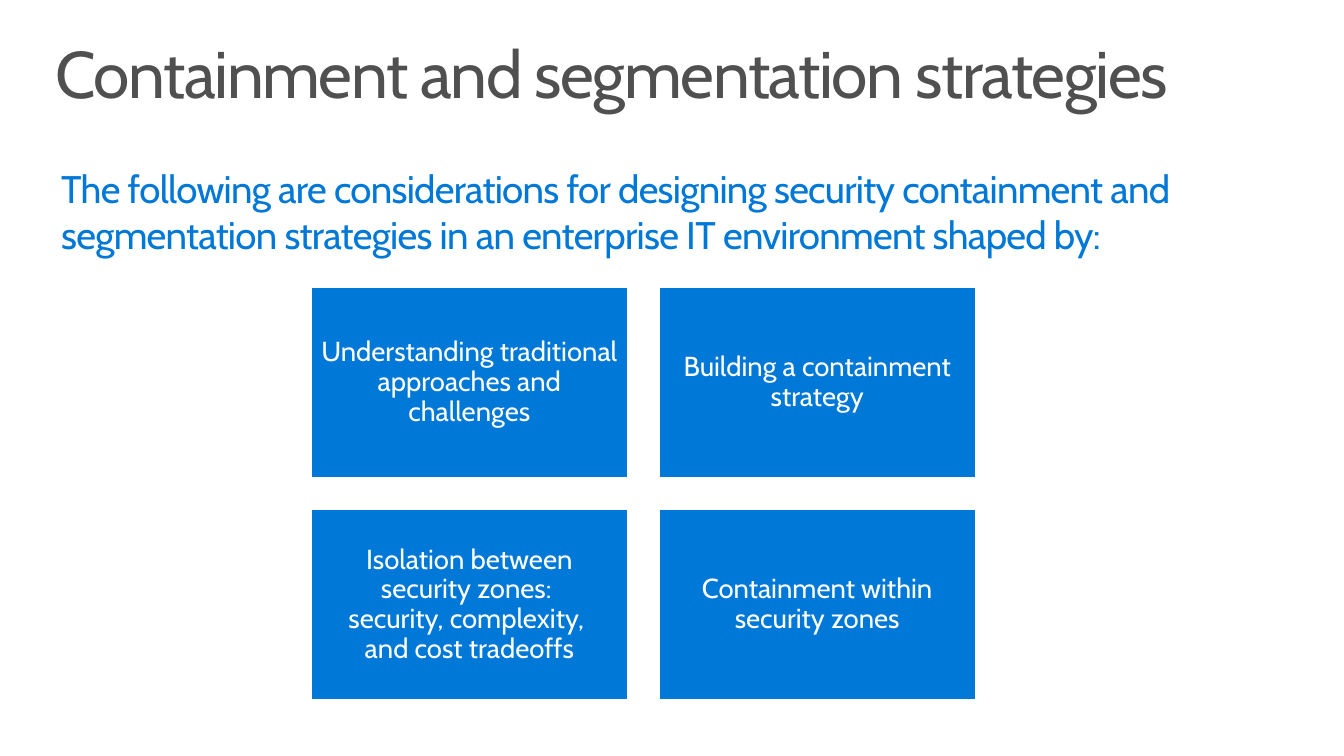
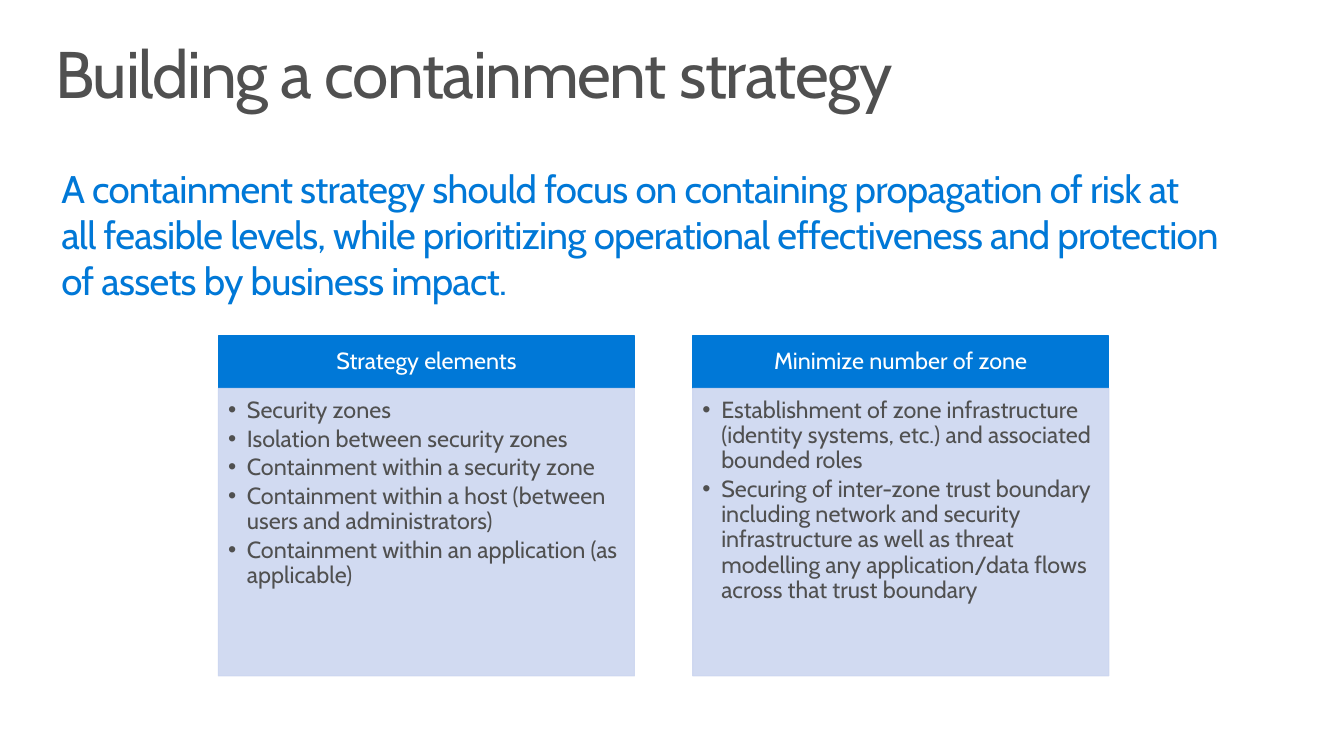
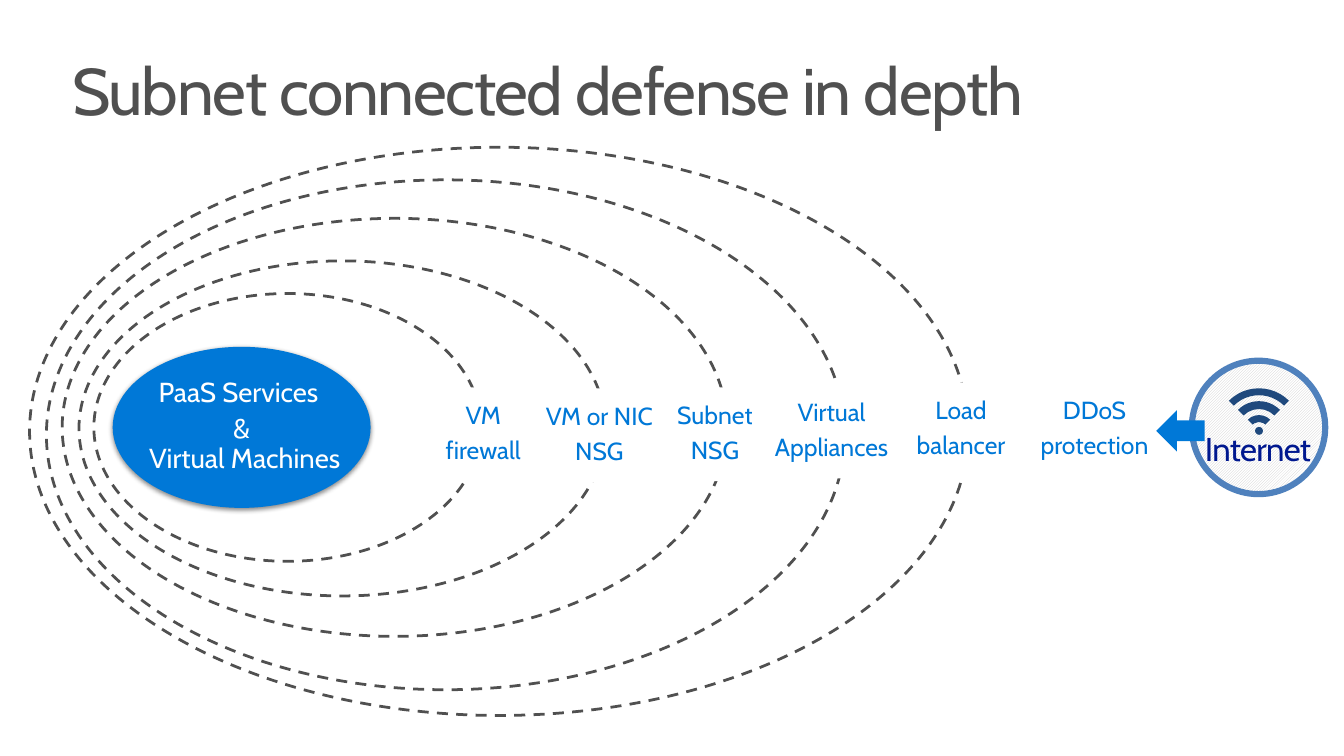
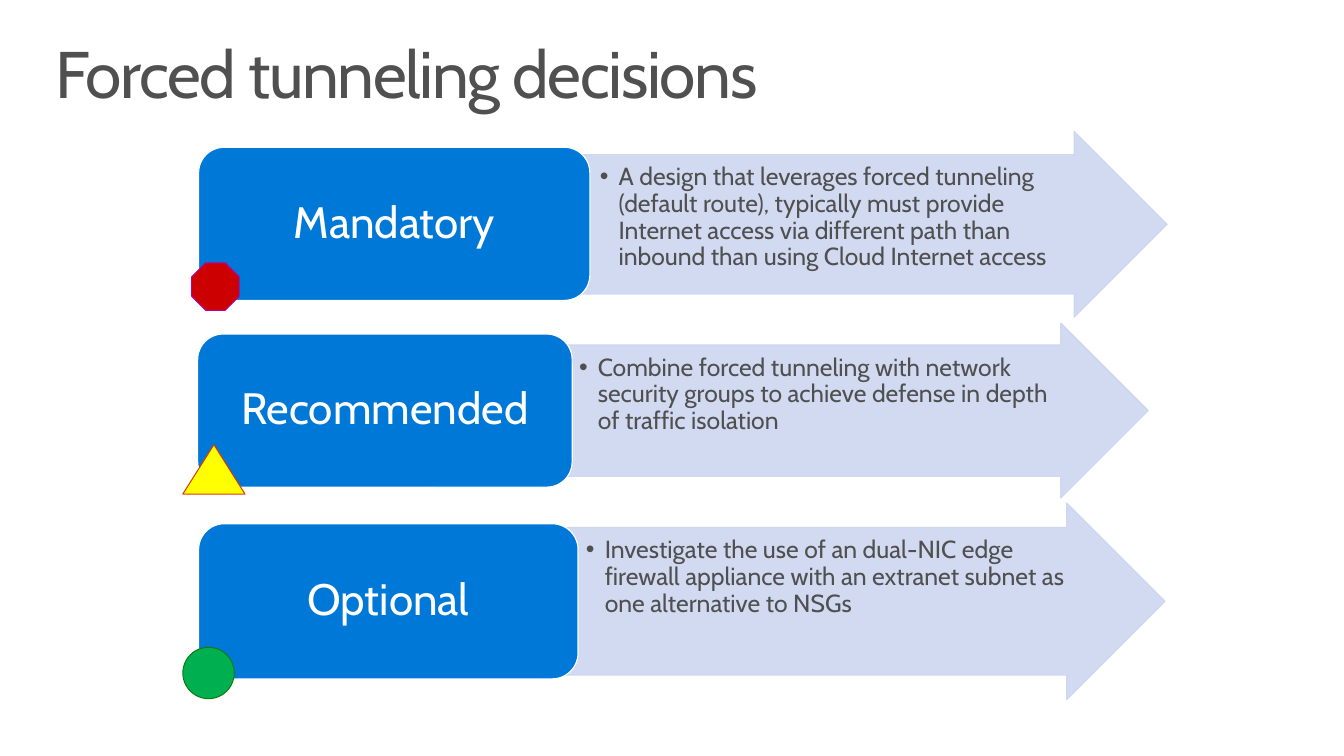
from pptx import Presentation
from pptx.dml.color import RGBColor
from pptx.enum.dml import MSO_LINE, MSO_PATTERN
from pptx.enum.shapes import MSO_SHAPE
from pptx.enum.text import MSO_ANCHOR, PP_ALIGN
from pptx.oxml.ns import qn
from pptx.oxml.xmlchemy import OxmlElement
from pptx.util import Inches, Pt

RECT, ROUNDED, OVAL = MSO_SHAPE.RECTANGLE, MSO_SHAPE.ROUNDED_RECTANGLE, MSO_SHAPE.OVAL
RIGHT_ARROW, LEFT_ARROW = MSO_SHAPE.RIGHT_ARROW, MSO_SHAPE.LEFT_ARROW
OCTAGON, TRIANGLE = MSO_SHAPE.OCTAGON, MSO_SHAPE.ISOSCELES_TRIANGLE
BLOCK_ARC = MSO_SHAPE.BLOCK_ARC
LEFT, CENTER = PP_ALIGN.LEFT, PP_ALIGN.CENTER
TOP, MIDDLE = MSO_ANCHOR.TOP, MSO_ANCHOR.MIDDLE
DASH, HATCH = MSO_LINE.DASH, MSO_PATTERN.LIGHT_UPWARD_DIAGONAL

FONT = "Cabin"
COLORS = {
    "white": "FFFFFF", "text": "505050", "blue": "0078D7", "pale": "CCD6F0",
    "ring": "4F81BD", "signal": "1F497D", "internet": "00188F", "hatch": "CDCDCD",
    "red": "CC0000", "red_edge": "B4009E", "yellow": "FFFF00", "yellow_edge": "D83B01",
    "green": "00B050", "green_edge": "107C10",
}
RGB = {name: RGBColor.from_string(value) for name, value in COLORS.items()}
WIDE_INSETS = (0.2, 0.16, 0.2, 0.16)


def write(holder, paragraphs, size, color, insets=WIDE_INSETS, align=CENTER, anchor=MIDDLE,
          wrap=True, line_spacing=0.9, after=0, tracking=0, bullet=False):
    """Fill a shape or text box with paragraphs; a newline is a line break."""
    frame = holder.text_frame
    frame.word_wrap, frame.vertical_anchor = wrap, anchor
    frame.margin_left, frame.margin_top, frame.margin_right, frame.margin_bottom = map(Inches, insets)
    for index, content in enumerate(paragraphs):
        paragraph = frame.add_paragraph() if index else frame.paragraphs[0]
        paragraph.alignment, paragraph.line_spacing = align, line_spacing
        paragraph.space_after = Pt(after)
        if bullet:
            properties = paragraph._p.get_or_add_pPr()
            properties.set("marL", str(Inches(0.19)))
            properties.set("indent", str(-Inches(0.19)))
            for tag, attribute, value in [("a:buFont", "typeface", "Arial"), ("a:buChar", "char", "•")]:
                mark = OxmlElement(tag)
                mark.set(attribute, value)
                properties.append(mark)
        for number, line in enumerate(content.split("\n")):
            if number:
                paragraph.add_line_break()
            run = paragraph.add_run()
            run.text = line
            run.font.name, run.font.size, run.font.color.rgb = FONT, Pt(size), RGB[color]
            if tracking:
                run._r.get_or_add_rPr().set("spc", str(int(tracking * 100)))


def draw(slide, kind, box, fill=None, line=None, weight=0.85, opacity=100):
    """Add a preset shape at box (left, top, width, height)."""
    shape = slide.shapes.add_shape(kind, *map(Inches, box))
    shape.shadow.inherit = False
    if fill:
        shape.fill.solid()
        shape.fill.fore_color.rgb = RGB[fill]
    else:
        shape.fill.background()
    if line:
        shape.line.color.rgb, shape.line.width = RGB[line], Pt(weight)
    else:
        shape.line.fill.background()
    if opacity < 100:
        for color in shape._element.spPr.iter(qn("a:srgbClr")):
            alpha = OxmlElement("a:alpha")
            alpha.set("val", str(opacity * 1000))
            color.append(alpha)
    return shape


prs = Presentation()
prs.slide_width, prs.slide_height = Inches(13.6), Inches(7.65)

# Slides with their titles
slides = []
for title, left, top in [
    ("Containment and segmentation strategies", 0.4, 0.32),
    ("Building a containment strategy", 0.4, 0.32),
    ("Subnet connected defense in depth", 0.57, 0.49),
    ("Forced tunneling decisions", 0.4, 0.32),
]:
    slide = prs.slides.add_slide(prs.slide_layouts[6])
    heading = slide.shapes.add_textbox(Inches(left), Inches(top), Inches(12.8), Inches(1))
    write(heading, [title], 48, "text", (0.16, 0.1, 0.16, 0.1), LEFT, TOP, tracking=-1)
    slides.append(slide)
considerations, strategy, defense, tunneling = slides

# Blue introductions of the first two slides
for slide, width, height, introduction in [
    (considerations, 13.27, 1.4,
     "The following are considerations for designing security containment and segmentation "
     "strategies in an enterprise IT environment shaped by:"),
    (strategy, 12.11, 1.65,
     "A containment strategy should focus on containing propagation of risk at all feasible levels, "
     "while prioritizing operational effectiveness and protection of assets by business impact."),
]:
    lead = slide.shapes.add_textbox(Inches(0.42), Inches(1.51), Inches(width), Inches(height))
    write(lead, [introduction], 28, "blue", align=LEFT, anchor=TOP, line_spacing=1, tracking=-0.5)

# Slide 1: two by two grid of considerations
for index, consideration in enumerate([
    "Understanding traditional approaches and challenges",
    "Building a containment strategy",
    "Isolation between security zones: \nsecurity, complexity, \nand cost tradeoffs",
    "Containment within security zones",
]):
    row, column = divmod(index, 2)
    tile = draw(considerations, RECT, (3.15 + 3.52 * column, 2.91 + 2.25 * row, 3.2, 1.92), "blue", "white")
    write(tile, [consideration], 20, "white", (0.08,) * 4)

# Slide 2: two headed lists
for column, (header, points) in enumerate([
    ("Strategy elements", [
        "Security zones",
        "Isolation between security zones",
        "Containment within a security zone",
        "Containment within a host (between users and administrators)",
        "Containment within an application (as applicable)",
    ]),
    ("Minimize number of zone", [
        "Establishment of zone infrastructure (identity systems, etc.) and associated bounded roles",
        "Securing of inter-zone trust boundary including network and security infrastructure as well as "
        "threat modelling any application/data flows across that trust boundary",
    ]),
]):
    left = 2.21 + 4.8 * column
    band = draw(strategy, RECT, (left, 3.4, 4.21, 0.53), "blue", "blue")
    write(band, [header], 17, "white", (0.13, 0.08, 0.13, 0.08))
    panel = draw(strategy, RECT, (left, 3.93, 4.21, 2.91), "pale", "pale", opacity=90)
    write(panel, points, 17, "text", (0.1, 0.1, 0.13, 0.15), LEFT, TOP, after=2.5, bullet=True)

# Slide 3: dashed layers, outermost first, mirrored so the dashes start on the right
for box in [
    (0.3, 1.49, 9.5, 5.75),
    (0.47, 1.82, 8.08, 5.16),
    (0.63, 2.21, 6.73, 4.23),
    (0.8, 2.64, 5.33, 3.39),
    (0.95, 2.97, 3.92, 2.71),
]:
    layer = draw(defense, OVAL, box, line="text", weight=2)
    layer.line.dash_style = DASH
    layer._element.spPr.xfrm.set("flipH", "1")

# Slide 3: protected core with a soft shadow
core = draw(defense, OVAL, (1.14, 3.51, 2.61, 1.63), "blue")
write(core, ["PaaS Services ", "&\n Virtual Machines"], 20, "white", (0.2, 0.14, 0.2, 0.16), wrap=False, after=5)
shadow = OxmlElement("a:outerShdw")
for name, value in [("blurRad", Pt(3.5)), ("dist", Pt(1.1)), ("dir", 90 * 60000), ("rotWithShape", 0)]:
    shadow.set(name, str(value))
shade = OxmlElement("a:srgbClr")
shade.set("val", "000000")
alpha = OxmlElement("a:alpha")
alpha.set("val", "45000")
shade.append(alpha)
shadow.append(shade)
core._element.spPr.find(qn("a:effectLst")).append(shadow)

# Slide 3: layer labels, which interrupt the dashed lines
for left, top, width, label in [
    (4.27, 3.92, 1.24, ["VM", "firewall"]),
    (5.28, 3.93, 1.57, ["VM or NIC", "NSG"]),
    (6.64, 3.92, 1.19, ["Subnet", "NSG"]),
    (7.61, 3.89, 1.61, ["Virtual", "Appliances"]),
    (9.05, 3.87, 1.35, ["Load", "balancer"]),
    (10.3, 3.87, 1.55, ["DDoS", "protection"]),
]:
    gap = draw(defense, RECT, (left, top, width, 0.95), "white")
    write(gap, label, 18, "blue", anchor=TOP, wrap=False, after=6)

# Slide 3: Internet badge
badge = draw(defense, OVAL, (12.06, 3.65, 1.35, 1.35), "white", "ring", 4.5)
badge.fill.patterned()
badge.fill.pattern = HATCH
badge.fill.fore_color.rgb, badge.fill.back_color.rgb = RGB["hatch"], RGB["white"]

# Wireless signal: a dot below three concentric quarter arcs
draw(defense, OVAL, (12.7, 4.32, 0.08, 0.08), "signal")
for inner, outer in [(0.09, 0.16), (0.22, 0.3), (0.36, 0.43)]:
    wave = draw(defense, BLOCK_ARC, (12.74 - outer, 4.36 - outer, 2 * outer, 2 * outer), "signal")
    # Angles count 60000 units a degree, adjustments 100000 units
    wave.adjustments[0], wave.adjustments[1] = 225 * 0.6, 315 * 0.6
    wave.adjustments[2] = (outer - inner) / (2 * outer)

internet = defense.shapes.add_textbox(Inches(11.97), Inches(4.22), Inches(1.52), Inches(0.69))
write(internet, ["Internet"], 24, "internet", wrap=False, tracking=-0.5)
draw(defense, LEFT_ARROW, (11.7, 4.15, 0.49, 0.42), "blue")

# Slide 4: decision cards in front of their explaining arrows
for decision, card, arrow, explanation in [
    ("Mandatory", (2.01, 1.49, 3.96, 1.55), (5.87, 1.33, 5.94, 1.88),
     "A design that leverages forced tunneling (default route), typically must provide Internet access "
     "via different path than inbound than using Cloud Internet access"),
    ("Recommended", (2, 3.38, 3.79, 1.55), (5.66, 3.27, 5.96, 1.77),
     "Combine forced tunneling with network security groups to achieve defense in depth of traffic isolation"),
    ("Optional", (2.01, 5.3, 3.84, 1.57), (5.73, 5.09, 6.06, 1.99),
     "Investigate the use of an dual-NIC edge firewall appliance with an extranet subnet as one "
     "alternative to NSGs"),
]:
    pointer = draw(tunneling, RIGHT_ARROW, arrow, "pale", "pale", opacity=90)
    pointer.adjustments[0], pointer.adjustments[1] = 0.75, 0.5
    write(pointer, [explanation], 18, "text", (0.2, 0.1, 0.2, 0.01), LEFT, TOP, bullet=True)
    write(draw(tunneling, ROUNDED, card, "blue", "white"), [decision], 32, "white", (0.13, 0.07, 0.13, 0.07))

# Slide 4: sign on the corner of each card
for sign, box, color in [
    (OCTAGON, (1.94, 2.66, 0.48, 0.48), "red"),
    (TRIANGLE, (1.85, 4.5, 0.63, 0.5), "yellow"),
    (OVAL, (1.85, 6.55, 0.52, 0.52), "green"),
]:
    draw(tunneling, sign, box, color, color + "_edge", 0.75)

prs.save("out.pptx")
